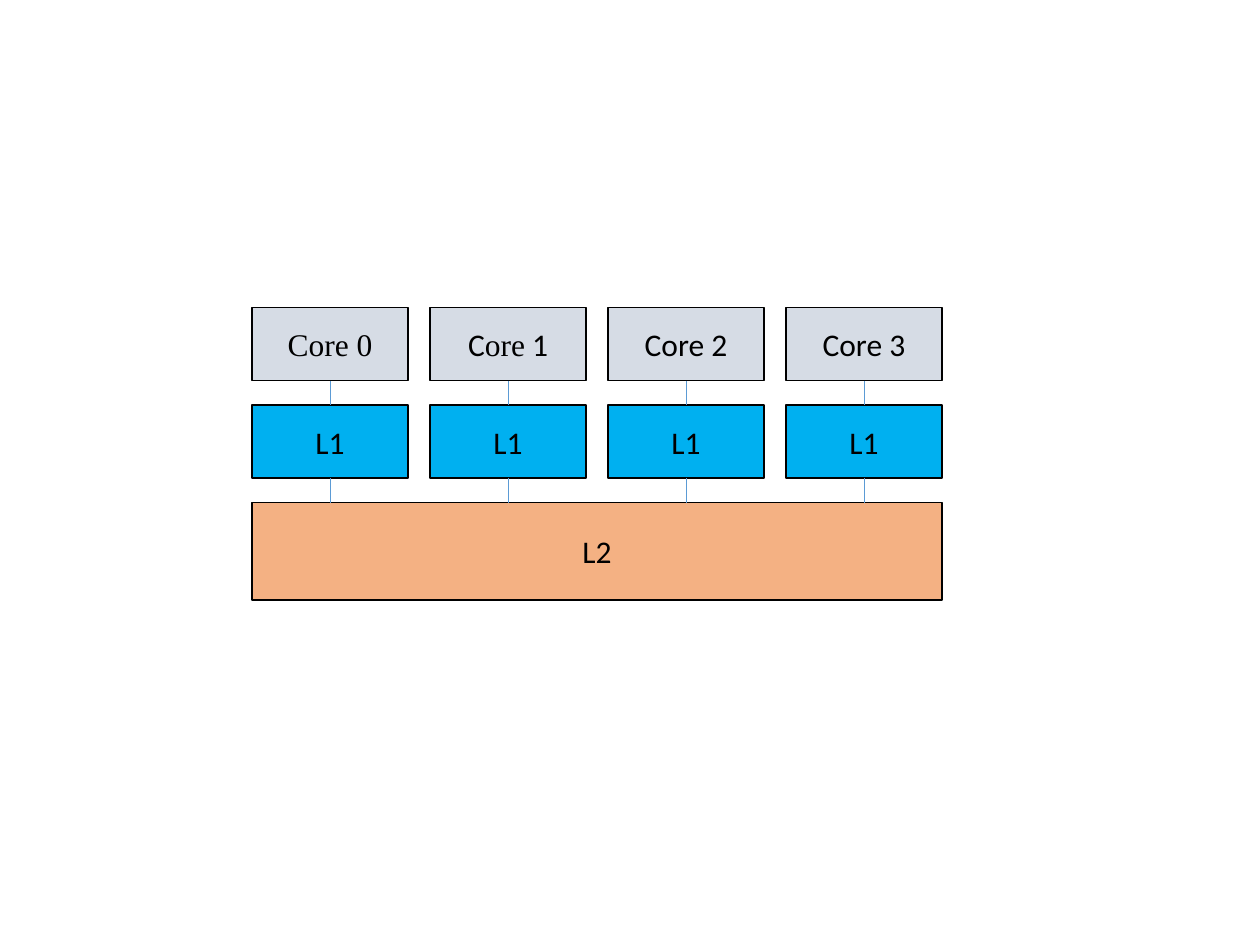
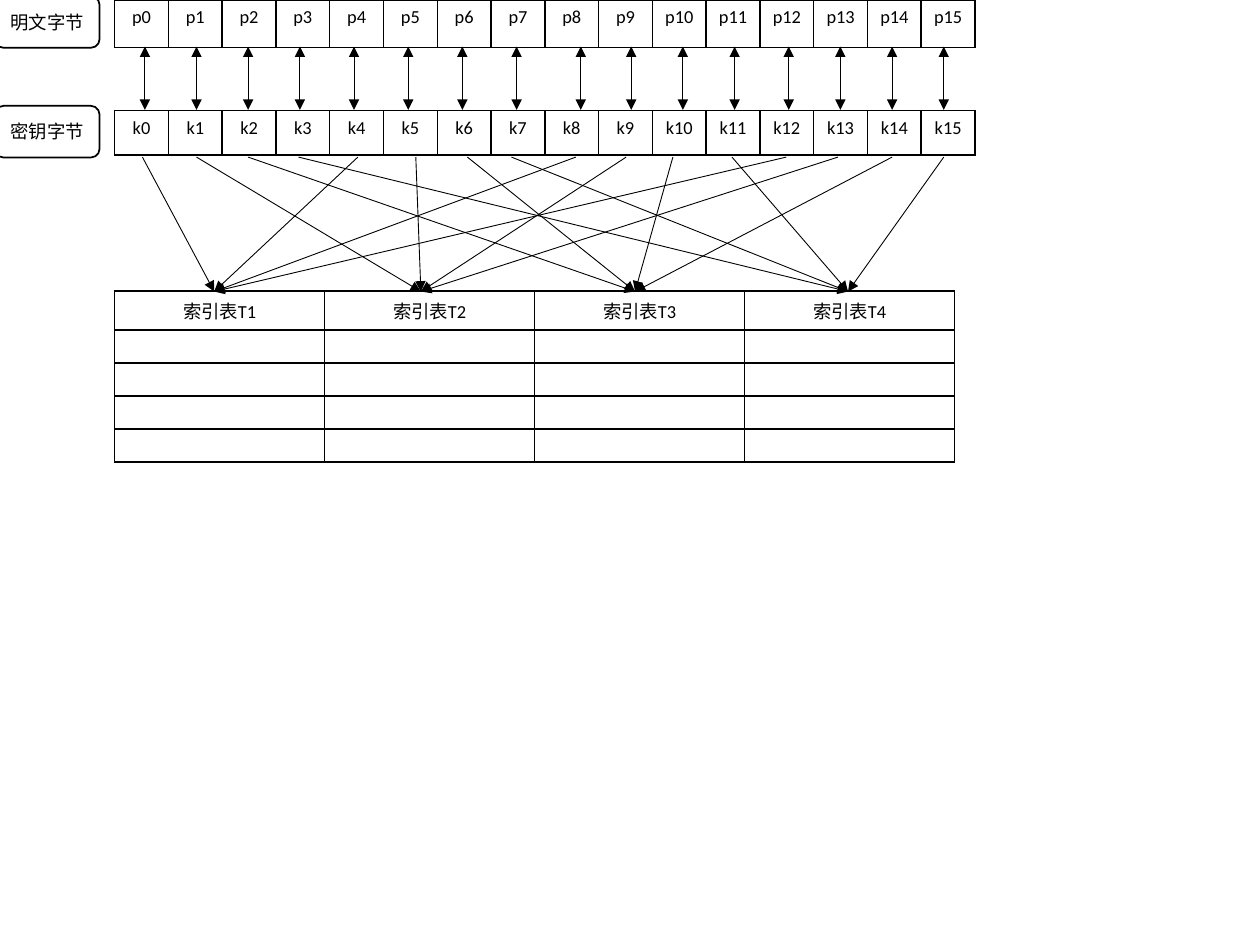
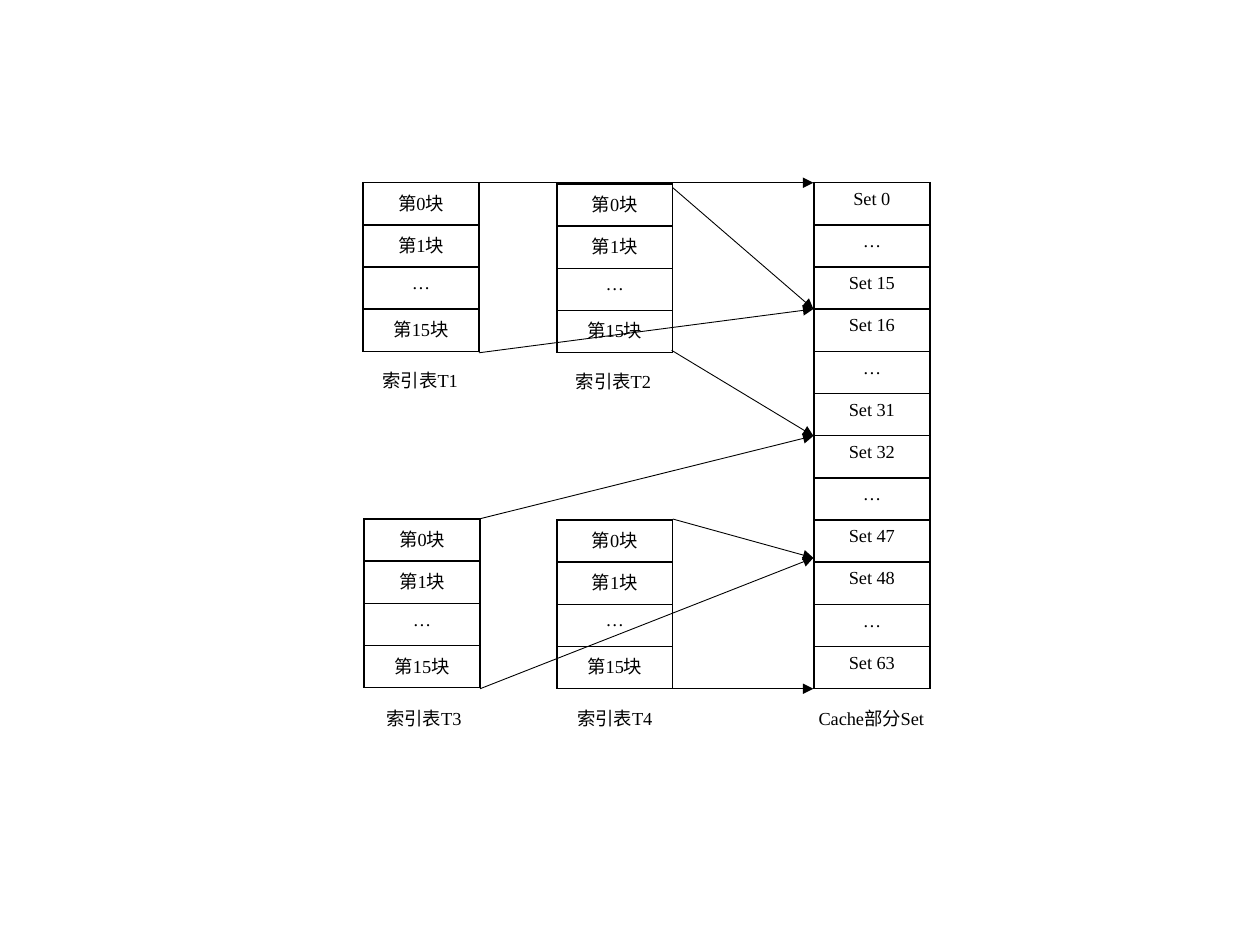
from lxml.etree import SubElement
from pptx import Presentation
from pptx.dml.color import RGBColor
from pptx.enum.shapes import MSO_CONNECTOR as Connector, MSO_SHAPE as Shape
from pptx.enum.text import MSO_ANCHOR as Anchor, PP_ALIGN as Align
from pptx.oxml.ns import qn
from pptx.util import Pt

BLACK = RGBColor(0x00, 0x00, 0x00)
WHITE = RGBColor(0xFF, 0xFF, 0xFF)
CORE_GREY = RGBColor(0xD6, 0xDC, 0xE5)
L1_BLUE = RGBColor(0x00, 0xB0, 0xF0)
L2_ORANGE = RGBColor(0xF4, 0xB1, 0x83)
LINK_BLUE = RGBColor(0x5B, 0x9B, 0xD5)
SANS, SERIF, CHINESE = "Calibri", "Times New Roman", "Noto Sans CJK SC"
SMALL, LARGE = 10.5, 18


def add_line(page, start, end, color=BLACK, ends=()):
    """Draw a thin line; ends names the ends (headEnd, tailEnd) with a triangle."""
    line = page.shapes.add_connector(Connector.STRAIGHT, *map(Pt, start + end))
    line.line.color.rgb = color
    line.line.width = Pt(0.5)
    properties = line._element.spPr
    for name in ends:
        SubElement(properties.find(qn("a:ln")), qn("a:" + name), type="triangle")
    SubElement(properties, qn("a:effectLst"))
    return line


def add_grid(page, left, top, column_width, heights, rows, font, fill=None):
    """Add a table with black borders and equal columns."""
    columns = len(rows[0])
    table = page.shapes.add_table(len(rows), columns, Pt(left), Pt(top),
                                  Pt(column_width * columns), Pt(sum(heights))).table
    table.first_row = table.horz_banding = False
    for column in table.columns:
        column.width = Pt(column_width)
    for row, height, texts in zip(table.rows, heights, rows):
        row.height = Pt(height)
        for cell, text in zip(row.cells, texts):
            cell.margin_left = cell.margin_right = Pt(5.4)
            para = cell.text_frame.paragraphs[0]
            para.text = text
            para.alignment = Align.CENTER
            para.font.name, para.font.size = font, Pt(SMALL)
            para.font.color.rgb = BLACK
            if not text:
                SubElement(para._p, qn("a:endParaRPr"), sz="900")
            for side in ("lnL", "lnR", "lnT", "lnB"):
                border = SubElement(cell._tc.get_or_add_tcPr(), qn("a:" + side), w=str(Pt(1)))
                SubElement(SubElement(border, qn("a:solidFill")), qn("a:srgbClr"), val=str(BLACK))
            if fill is None:
                cell.fill.background()
            else:
                cell.fill.solid()
                cell.fill.fore_color.rgb = fill


deck = Presentation()
deck.slide_width, deck.slide_height = Pt(720), Pt(540)
cache_page, lookup_page, mapping_page = [
    deck.slides.add_slide(deck.slide_layouts[6]) for _ in range(3)]

# Boxes with a fill, on the first two pages
core_lefts = [144 + 101.7 * core for core in range(4)]
box_list = [(cache_page, Shape.RECTANGLE, left, 175.7, 89.3, 41.8, CORE_GREY,
             f"Core {core}", SERIF if core == 0 else SANS, LARGE)
            for core, left in enumerate(core_lefts)]
box_list += [(cache_page, Shape.RECTANGLE, left, 231.4, 89.3, 41.8, L1_BLUE, "L1", SANS, LARGE)
             for left in core_lefts]
box_list += [
    (cache_page, Shape.RECTANGLE, 144, 287.2, 394.4, 55.5, L2_ORANGE, "L2", SANS, LARGE),
    (lookup_page, Shape.ROUNDED_RECTANGLE, -2.9, -2.2, 59.8, 29.5, WHITE,
     "明文字节", CHINESE, SMALL),
    (lookup_page, Shape.ROUNDED_RECTANGLE, -2.9, 60.5, 59.8, 29.5, WHITE,
     "密钥字节", SANS, SMALL),
]
boxes = []
for page, shape, left, top, width, height, fill, text, font, size in box_list:
    box = page.shapes.add_shape(shape, Pt(left), Pt(top), Pt(width), Pt(height))
    box.shadow.inherit = False
    box.fill.solid()
    box.fill.fore_color.rgb = fill
    box.line.color.rgb = BLACK
    box.line.width = Pt(1)
    frame = box.text_frame
    frame.word_wrap = True
    frame.vertical_anchor = Anchor.MIDDLE
    frame.margin_left = frame.margin_right = Pt(3.6)
    para = frame.paragraphs[0]
    para.alignment = Align.CENTER
    para.font.name, para.font.size = font, Pt(size)
    para.font.color.rgb = BLACK
    # Core 1 mixes two fonts
    parts = [("C", SANS), ("ore", SERIF), (" 1", SANS)] if text == "Core 1" else [(text, font)]
    for part, part_font in parts:
        span = para.add_run()
        span.text = part
        span.font.name = part_font
    boxes.append(box)

# Page 1: links from cores to L1 and from L1 to L2
for core, left in enumerate(core_lefts):
    middle = left + 44.65
    link = add_line(cache_page, (middle, 217.5), (middle, 231.4), LINK_BLUE)
    link.begin_connect(boxes[core], 2)
    link.end_connect(boxes[core + 4], 0)
    link = add_line(cache_page, (middle, 273.2), (middle, 287.2), LINK_BLUE)
    link.begin_connect(boxes[core + 4], 2)

# Page 2: plaintext bytes, key bytes and lookup tables
for letter, top, height in (("p", 0, 27.2), ("k", 63.2, 25.5)):
    add_grid(lookup_page, 65.5, top, 30.73, [height],
             [[f"{letter}{byte}" for byte in range(16)]], SANS)
add_grid(lookup_page, 65.5, 166.2, 120, [22.4] + [18.9] * 4,
         [[f"索引表T{number}" for number in range(1, 5)]] + [[""] * 4] * 4, SANS)

exchange_x = [82.8, 112.3, 141.8, 171.4, 202.3, 233.3, 264.2, 295.2,
              331.9, 360.7, 390.2, 419.8, 450.7, 480.2, 509.8, 539.3]
key_x = [81.4, 112.3, 141.8, 170.6, 204.5, 237.6, 267.1, 292.3,
         329, 357.8, 384.5, 418.3, 449.3, 478.8, 509.8, 539.3]
table_x = [122.4, 240.5, 362.9, 484.6]
for byte in range(16):
    add_line(lookup_page, (exchange_x[byte], 26.6), (exchange_x[byte], 62.8),
             ends=("headEnd", "tailEnd"))
    add_line(lookup_page, (key_x[byte], 89.8), (table_x[byte % 4], 166.6), ends=("tailEnd",))

# Page 3: table blocks mapped to cache sets
blocks = [["第0块"], ["第1块"], ["…"], ["第15块"]]
for left, top in ((207.4, 104.4), (318.2, 105.1), (208.1, 296.6), (318.2, 297.1)):
    add_grid(mapping_page, left, top, 66.2, [24.12] * 4, blocks, SERIF, WHITE)
sets = [[label] for first in range(0, 64, 16)
        for label in (f"Set {first}", "…", f"Set {first + 15}")]
add_grid(mapping_page, 465.1, 104.4, 66.2, [24.1] * 12, sets, SERIF, WHITE)

for text, left, top, width in (
        ("索引表T1", 207.4, 207.4, 65.5), ("索引表T2", 321.8, 208.1, 57.6),
        ("索引表T3", 210.2, 400.3, 64.1), ("索引表T4", 318.2, 400.3, 66.2),
        ("Cache部分Set", 455.8, 400.3, 84.2)):
    caption = mapping_page.shapes.add_textbox(Pt(left), Pt(top), Pt(width), Pt(20.2))
    caption.text_frame.word_wrap = True
    para = caption.text_frame.paragraphs[0]
    para.text = text
    para.alignment = Align.CENTER
    para.font.name, para.font.size = SERIF, Pt(SMALL)
    para.font.color.rgb = BLACK

for start, end_y in (((273.6, 201.6), 176.6), ((384.5, 107.3), 176.6),
                     ((383.8, 200.2), 249.1), ((273.6, 296.6), 249.1),
                     ((274.3, 393.6), 318.8), ((384.5, 296.6), 318.8),
                     ((384.5, 393.6), 393.6), ((274.3, 104.4), 104.4)):
    add_line(mapping_page, start, (464.8, end_y), ends=("tailEnd",))

deck.save("out.pptx")
